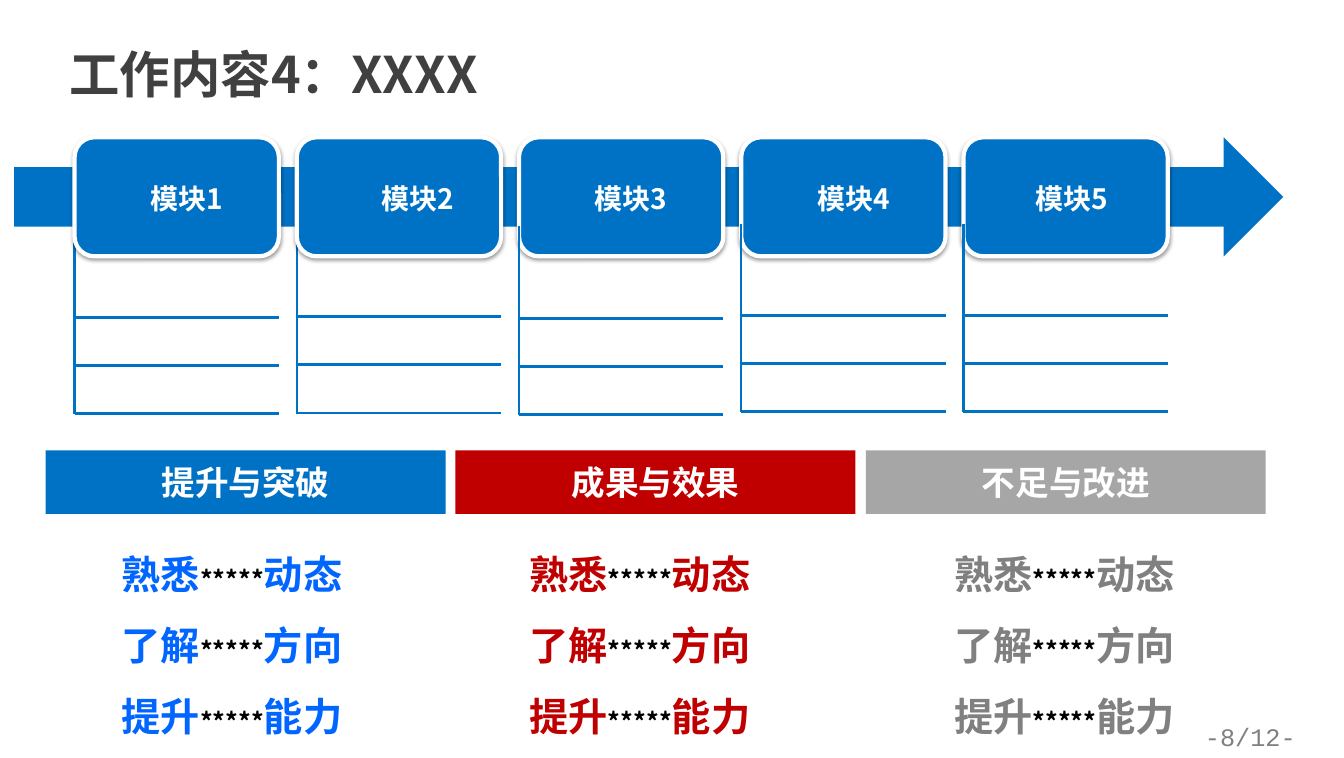
from lxml.etree import SubElement
from pptx import Presentation
from pptx.dml.color import RGBColor
from pptx.enum.shapes import MSO_CONNECTOR as Connector, MSO_SHAPE as Preset
from pptx.enum.text import MSO_ANCHOR as Anchor, MSO_AUTO_SIZE as AutoSize, PP_ALIGN as Align
from pptx.oxml.ns import qn
from pptx.util import Cm, Pt

BLUE = RGBColor(0x00, 0x72, 0xC6)
BRIGHT_BLUE = RGBColor(0x00, 0x66, 0xFF)
RED = RGBColor(0xC0, 0x00, 0x00)
SILVER = RGBColor(0xA6, 0xA6, 0xA6)
GREY = RGBColor(0x80, 0x80, 0x80)
DARK = RGBColor(0x40, 0x40, 0x40)
BLACK = RGBColor(0, 0, 0)
WHITE = RGBColor(255, 255, 255)
CJK_FONT = "Noto Sans CJK SC"

TITLE = "工作内容4：XXXX"
PAGE_NUMBER = "-8/12-"
MODULES = [
    {"label": "模块1", "label_left": 2.87, "stem_top": 5.69, "first_rule": 8.0},
    {"label": "模块2", "label_left": 8.69, "stem_top": 5.69, "first_rule": 7.98},
    {"label": "模块3", "label_left": 14.07, "stem_top": 5.69, "first_rule": 8.03},
    {"label": "模块4", "label_left": 19.69, "stem_top": 5.64, "first_rule": 7.95},
    {"label": "模块5", "label_left": 25.17, "stem_top": 5.64, "first_rule": 7.95},
]
GOALS = [("熟悉", "动态"), ("了解", "方向"), ("提升", "能力")]
MASK = "*****"
SUMMARIES = [
    {"heading": "提升与突破", "fill": BLUE, "left": 1.15, "color": BRIGHT_BLUE, "list_left": 2.82},
    {"heading": "成果与效果", "fill": RED, "left": 11.48, "color": RED, "list_left": 13.1},
    {"heading": "不足与改进", "fill": SILVER, "left": 21.82, "color": GREY, "list_left": 23.8},
]

CARD_LEFT, CARD_STEP = 1.88, 5.6
CARD_TOP, CARD_WIDTH, CARD_HEIGHT = 3.46, 5.15, 3.0
RULE_COUNT, RULE_STEP = 3, 1.21

deck = Presentation()
deck.slide_width, deck.slide_height = Cm(33.87), Cm(19.1)
page = deck.slides.add_slide(deck.slide_layouts[5])


def write(frame, paragraphs, font=CJK_FONT, bold=True, align=Align.LEFT,
          anchor=Anchor.TOP, spacing=None):
    frame.word_wrap = True
    frame.auto_size = AutoSize.NONE
    frame.vertical_anchor = anchor
    for index, spans in enumerate(paragraphs):
        para = frame.add_paragraph() if index else frame.paragraphs[0]
        para.alignment = align
        if spacing:
            para.line_spacing = spacing
        for text, size, color in spans:
            span = para.add_run()
            span.text = text
            span.font.name = font
            span.font.size = Pt(size)
            span.font.bold = bold
            span.font.color.rgb = color
            east_asian = SubElement(span.font._element, qn("a:ea"))
            east_asian.set("typeface", CJK_FONT)


def add_text(left, top, width, height, paragraphs, **style):
    box = page.shapes.add_textbox(Cm(left), Cm(top), Cm(width), Cm(height))
    write(box.text_frame, paragraphs, **style)


def add_block(preset, left, top, width, height, fill):
    block = page.shapes.add_shape(preset, Cm(left), Cm(top), Cm(width), Cm(height))
    block.shadow.inherit = False
    block.fill.solid()
    block.fill.fore_color.rgb = fill
    block.line.fill.background()
    return block


def add_line(x1, y1, x2, y2):
    line = page.shapes.add_connector(Connector.STRAIGHT, Cm(x1), Cm(y1), Cm(x2), Cm(y2))
    line.line.color.rgb = BLUE
    line.line.width = Pt(1.75)
    SubElement(line._element.spPr, qn("a:effectLst"))


def add_ruled_column(index):
    module = MODULES[index]
    left = CARD_LEFT + index * CARD_STEP
    rules = [module["first_rule"] + row * RULE_STEP for row in range(RULE_COUNT)]
    add_line(left, module["stem_top"], left, rules[-1] + 0.02)
    for y in rules:
        add_line(left, y, left + CARD_WIDTH, y)


def add_card(index):
    card = add_block(Preset.ROUNDED_RECTANGLE, CARD_LEFT + index * CARD_STEP, CARD_TOP,
                     CARD_WIDTH, CARD_HEIGHT, BLUE)
    card.line.color.rgb = WHITE
    card.line.width = Pt(3)
    effects = card._element.spPr.find(qn("a:effectLst"))
    shadow = SubElement(effects, qn("a:outerShdw"), blurRad=str(Pt(3.1)),
                        dist=str(Pt(1.6)), dir="5400000", rotWithShape="0")
    tint = SubElement(shadow, qn("a:srgbClr"), val=str(BLACK))
    SubElement(tint, qn("a:alpha"), val="38000")


title = page.shapes.title
title.left, title.top, title.width, title.height = Cm(1.5), Cm(0.97), Cm(12.57), Cm(2.16)
write(title.text_frame, [[(TITLE, 36, DARK)]])

for index in (0, 1):
    add_ruled_column(index)
add_block(Preset.RIGHT_ARROW, 0.36, CARD_TOP, 31.98, CARD_HEIGHT, BLUE)
for index in range(len(MODULES)):
    add_card(index)
for module in MODULES:
    add_text(module["label_left"], 4.45, 3.66, 1.12, [[(module["label"], 20, WHITE)]],
             align=Align.CENTER)
for index in (2, 3, 4):
    add_ruled_column(index)

for summary in SUMMARIES:
    banner = add_block(Preset.RECTANGLE, summary["left"], 11.35, 10.08, 1.6, summary["fill"])
    write(banner.text_frame, [[(summary["heading"], 24, WHITE)]], font="Calibri",
          align=Align.CENTER, anchor=Anchor.MIDDLE)
    color = summary["color"]
    goals = [[(verb, 28, color), (MASK, 18, BLACK), (noun, 28, color)] for verb, noun in GOALS]
    add_text(summary["list_left"], 13.16, 9.0, 5.9, goals, spacing=1.5)

add_text(29.11, 18.06, 4.8, 1.02, [[(PAGE_NUMBER, 18, GREY)]], font="Courier New",
         bold=False, align=Align.CENTER)

deck.save("out.pptx")
